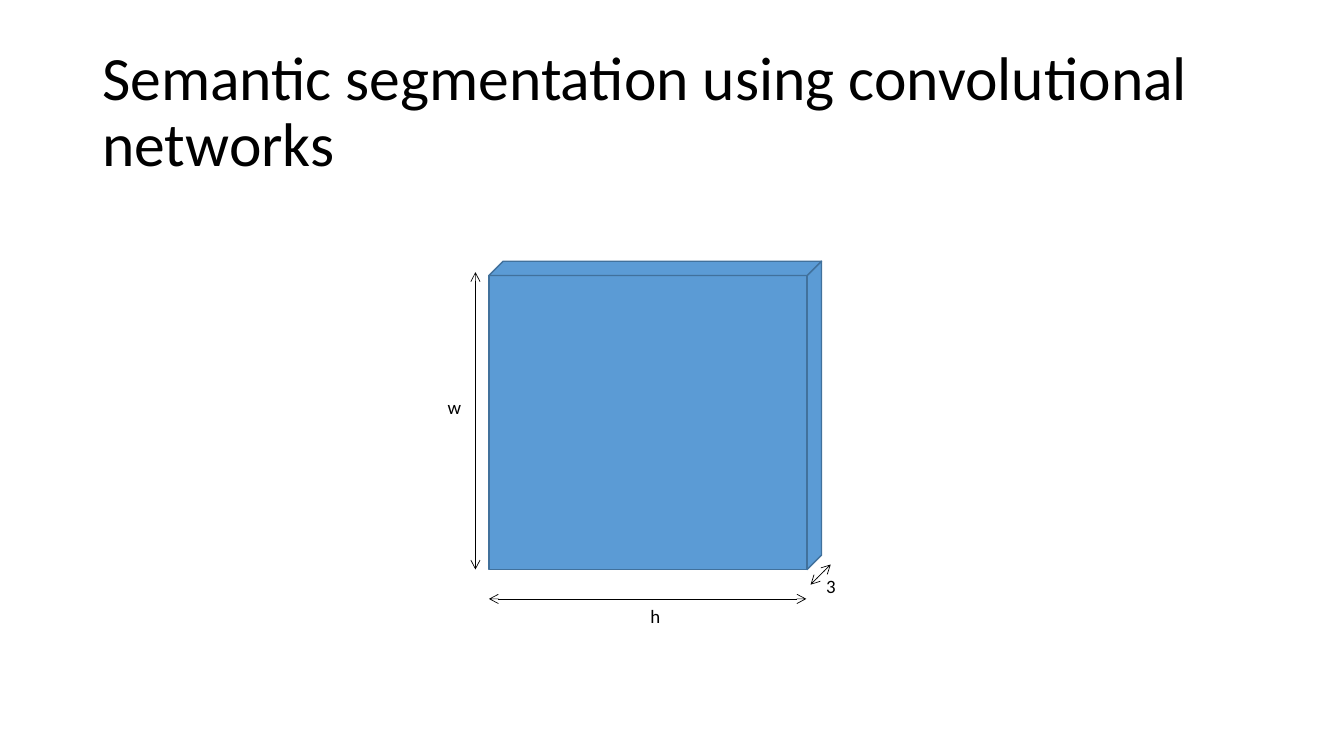
from lxml import etree
from pptx import Presentation
from pptx.dml.color import RGBColor
from pptx.enum.shapes import MSO_CONNECTOR
from pptx.enum.text import MSO_ANCHOR, PP_ALIGN
from pptx.oxml.ns import qn
from pptx.util import Inches, Pt

COLUMNS, ROWS = 160, 90
CELL = Inches(7.5) / ROWS

# Front face of the volume and its depth, in grid cells
LEFT, TOP, RIGHT, BOTTOM = 58.2, 32.8, 96.1, 67.8
DEPTH = 1.7


def cells(count):
    return round(count * CELL)


def color(hex_string):
    return RGBColor.from_string(hex_string)


def add_text(slide, box, words, size, align, line_spacing=1.0):
    frame = slide.shapes.add_textbox(*map(cells, box)).text_frame
    frame.word_wrap = True
    frame.vertical_anchor = MSO_ANCHOR.MIDDLE
    paragraph = frame.paragraphs[0]
    paragraph.alignment = align
    paragraph.line_spacing = line_spacing
    run = paragraph.add_run()
    run.text = words
    for key, value in {"name": "Calibri", "size": Pt(size)}.items():
        setattr(run.font, key, value)
    run.font.color.rgb = color("000000")


def add_face(slide, corners):
    start, *others = [(cells(x), cells(y)) for x, y in corners]
    builder = slide.shapes.build_freeform(*start)
    builder.add_line_segments(others, close=True)
    face = builder.convert_to_shape()
    face.shadow.inherit = False
    face.fill.solid()
    face.fill.fore_color.rgb = color("5B9BD5")
    face.line.color.rgb = color("41719C")
    face.line.width = Pt(1)


def add_dimension(slide, start, end, label, center):
    """Draw a double-headed arrow and its label, centred on a grid point."""
    arrow = slide.shapes.add_connector(
        MSO_CONNECTOR.STRAIGHT, *map(cells, (*start, *end)))
    arrow.line.color.rgb = color("000000")
    arrow.line.width = Pt(0.5)
    outline = arrow.line._get_or_add_ln()
    for tip in ("a:headEnd", "a:tailEnd"):
        etree.SubElement(outline, qn(tip), type="arrow")
    etree.SubElement(arrow._element.spPr, qn("a:effectLst"))

    width, height = 5.2, 4
    x, y = center
    add_text(slide, (x - width / 2, y - height / 2, width, height),
             label, 13.5, PP_ALIGN.CENTER)


def add_volume(slide):
    front = [(LEFT, TOP), (RIGHT, TOP), (RIGHT, BOTTOM), (LEFT, BOTTOM)]
    back = [(x + DEPTH, y - DEPTH) for x, y in front]
    side = [front[1], back[1], back[2], front[2]]
    top = [front[0], back[0], back[1], front[1]]
    for face in (front, side, top):
        add_face(slide, face)


def main():
    deck = Presentation()
    deck.slide_width, deck.slide_height = cells(COLUMNS), cells(ROWS)
    slide = deck.slides.add_slide(deck.slide_layouts[6])

    add_text(slide, (11, 4.8, 138, 17.4),
             "Semantic segmentation using convolutional networks",
             44, PP_ALIGN.LEFT, line_spacing=0.9)
    add_volume(slide)
    add_dimension(slide, (LEFT, 71.3), (96, 71.3), "h", (78, 73.3))
    add_dimension(slide, (56.6, 32.4), (56.6, BOTTOM), "w", (54.1, 48.4))
    add_dimension(slide, (96.5, 69.6), (98.9, 67.2), "3", (98.9, 69.8))
    deck.save("out.pptx")


if __name__ == "__main__":
    main()
